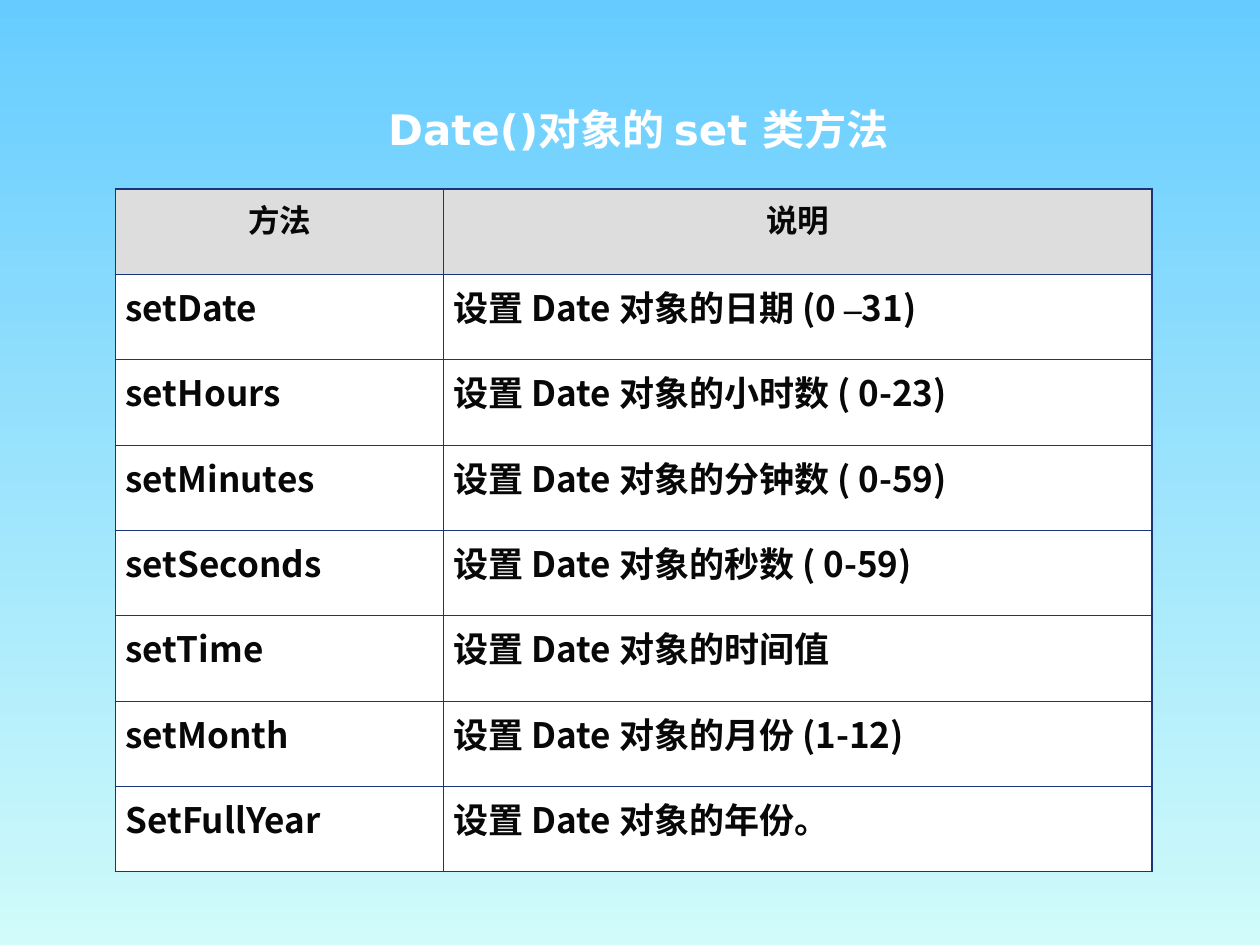
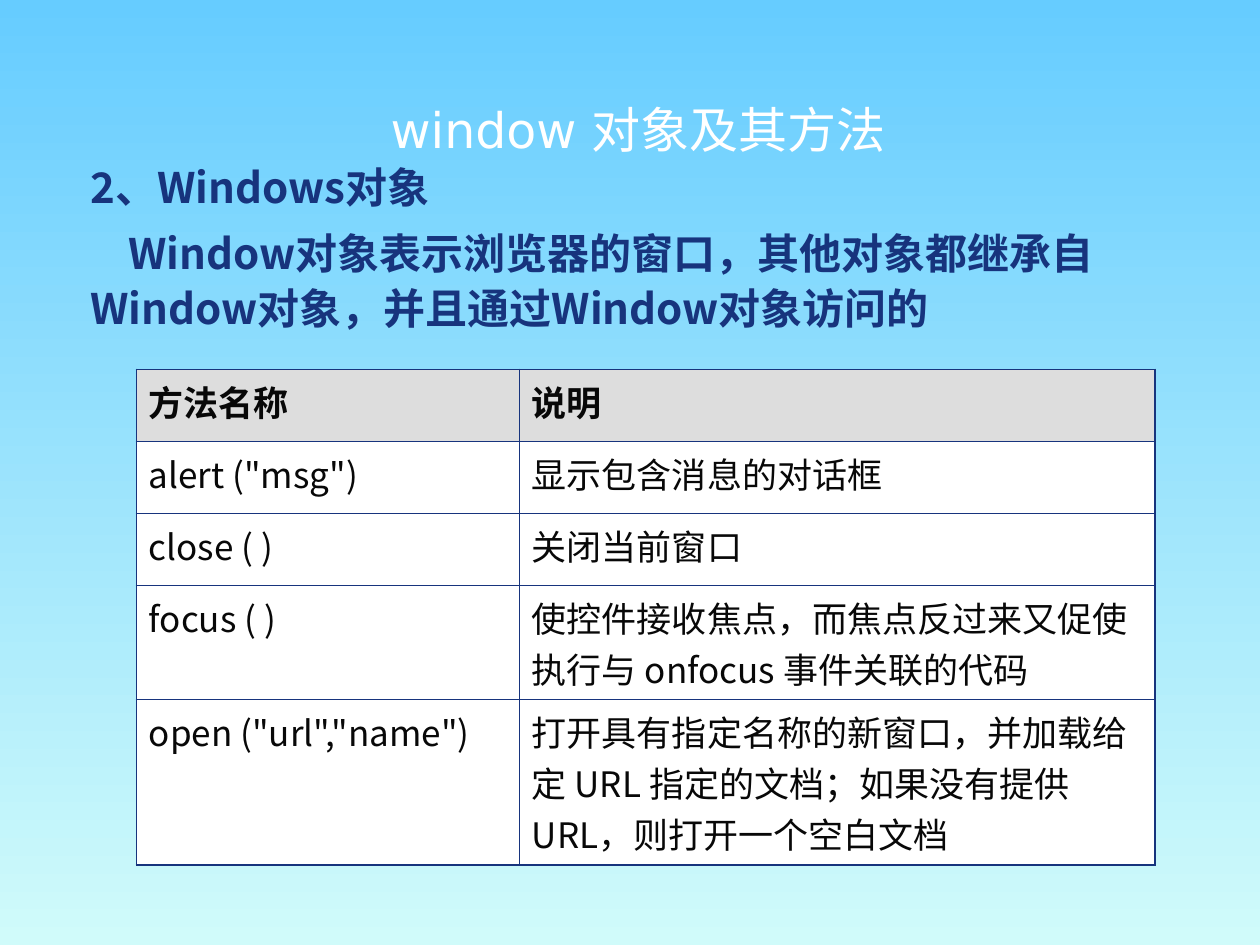
"""Build two slides on the methods of the Date and window objects."""
from lxml.etree import SubElement
from pptx import Presentation
from pptx.dml.color import RGBColor
from pptx.enum.text import MSO_ANCHOR, PP_ALIGN
from pptx.oxml.ns import qn
from pptx.util import Cm, Pt

SKY, MINT, NAVY = "66CCFF", "D0FBFA", "17347D"
WHITE, GREY, INK = "FFFFFF", "DDDDDD", "080808"
SANS, TITLE_FONT, HEAD_FONT, SERIF = (
    "Noto Sans CJK SC", "DejaVu Sans", "Arial", "Times New Roman")
THIN, THICK = 0.45, 1.08

DATE_ROWS = [
    ("方法", "说明"),
    ("setDate", [("设置 Date 对象的日期 (0 ", SANS), ("–", SERIF), ("31)", SANS)]),
    ("setHours", "设置 Date 对象的小时数 ( 0-23)"),
    ("setMinutes", "设置 Date 对象的分钟数 ( 0-59)"),
    ("setSeconds", "设置 Date 对象的秒数 ( 0-59)"),
    ("setTime", "设置 Date 对象的时间值"),
    ("setMonth", "设置 Date 对象的月份 (1-12)"),
    ("SetFullYear", "设置 Date 对象的年份。"),
]
WINDOW_ROWS = [
    ("方法名称", "说明"),
    ('alert ("msg")', "显示包含消息的对话框"),
    ("close ( )", "关闭当前窗口"),
    ("focus ( )", "使控件接收焦点，而焦点反过来又促使执行与 onfocus 事件关联的代码"),
    ('open ("url","name")',
     "打开具有指定名称的新窗口，并加载给定 URL 指定的文档；如果没有提供 URL，则打开一个空白文档"),
]
WINDOW_INTRO = "Window对象表示浏览器的窗口，其他对象都继承自Window对象，并且通过Window对象访问的"


def rgb(hex_colour):
    """Turn a hex string into a colour."""
    return RGBColor.from_string(hex_colour)


def add_run(p, text, size, colour, font=SANS, bold=False):
    """Add one styled run to a paragraph."""
    r = p.add_run()
    r.text = text
    r.font.size, r.font.bold, r.font.name = Pt(size), bold, font
    r.font.color.rgb = rgb(colour)
    SubElement(r._r.get_or_add_rPr(), qn("a:ea"), typeface=SANS)


def add_box(s, left, top, width, height, anchor=MSO_ANCHOR.TOP):
    """Add a wrapping text box and return its text frame."""
    tf = s.shapes.add_textbox(Cm(left), Cm(top), Cm(width), Cm(height)).text_frame
    tf.word_wrap = True
    tf.vertical_anchor = anchor
    return tf


def add_slide(prs, title, size, bold=False):
    """Add a blank slide with the shared background and title."""
    s = prs.slides.add_slide(prs.slide_layouts[6])
    fill = s.background.fill
    fill.gradient()
    fill.gradient_angle = 270
    for stop, colour in zip(fill.gradient_stops, (SKY, MINT)):
        stop.color.rgb = rgb(colour)
    p = add_box(s, 2.03, 1.82, 21.67, 1.57, MSO_ANCHOR.MIDDLE).paragraphs[0]
    p.alignment = PP_ALIGN.CENTER
    add_run(p, title, size, WHITE, TITLE_FONT, bold)
    return s


def set_borders(cell, **widths):
    """Draw the cell edges L, R, T and B with the given widths."""
    for side, width in widths.items():
        ln = SubElement(cell._tc.get_or_add_tcPr(), qn(f"a:ln{side}"), w=str(Pt(width)))
        SubElement(SubElement(ln, qn("a:solidFill")), qn("a:srgbClr"), val=NAVY)


def add_method_table(s, left, top, widths, heights, rows, margin,
                     head_style, body_style, head_align, body_align):
    """Add a two-column table with a grey head and a thick outer frame."""
    last_row, last_col = len(rows) - 1, len(widths) - 1
    table = s.shapes.add_table(len(rows), len(widths), Cm(left), Cm(top),
                               Cm(sum(widths)), Cm(sum(heights))).table
    table.first_row = table.horz_banding = False
    for column, width in zip(table.columns, widths):
        column.width = Cm(width)
    for i, (row, height) in enumerate(zip(rows, heights)):
        table.rows[i].height = Cm(height)
        for j, content in enumerate(row):
            cell = table.cell(i, j)
            cell.margin_left = cell.margin_right = Cm(margin)
            cell.margin_top = cell.margin_bottom = Cm(0.13)
            set_borders(cell, L=THIN if j else THICK,
                        R=THICK if j == last_col else THIN,
                        T=THIN if i else THICK,
                        B=THICK if i == last_row else THIN)
            cell.fill.solid()
            cell.fill.fore_color.rgb = rgb(WHITE if i else GREY)
            size, font, bold = body_style if i else head_style
            p = cell.text_frame.paragraphs[0]
            p.alignment = body_align if i else head_align
            runs = [(content, font)] if isinstance(content, str) else content
            for text, run_font in runs:
                add_run(p, text, size, INK, run_font, bold)


def add_intro(s, heading, text):
    """Add a heading and an indented paragraph below the title."""
    tf = add_box(s, 1.57, 3.13, 21.49, 3.86)
    add_run(tf.paragraphs[0], heading, 24, NAVY, bold=True)
    p = tf.add_paragraph()
    p.space_before, p.line_spacing = Pt(6), 1.1
    p._p.get_or_add_pPr().set("indent", str(Cm(0.77)))
    add_run(p, text, 24, NAVY, bold=True)


def main():
    """Build and save the presentation."""
    prs = Presentation()
    prs.slide_width, prs.slide_height = Cm(25.4), Cm(19.05)

    s = add_slide(prs, "Date()对象的 set 类方法", 24, bold=True)
    add_method_table(s, 2.33, 3.81, (6.61, 14.28), [1.72] * len(DATE_ROWS),
                     DATE_ROWS, 0.2, (18, HEAD_FONT, True), (20, SANS, True),
                     PP_ALIGN.CENTER, PP_ALIGN.JUSTIFY)

    s = add_slide(prs, "window 对象及其方法", 28)
    add_intro(s, "2、Windows对象", WINDOW_INTRO)
    add_method_table(s, 2.75, 7.45, (7.72, 12.81), [1.45] * 3 + [2.3, 3.34],
                     WINDOW_ROWS, 0.25, (20, SANS, True), (20, SANS, False),
                     PP_ALIGN.LEFT, PP_ALIGN.LEFT)

    prs.save("out.pptx")


if __name__ == "__main__":
    main()
